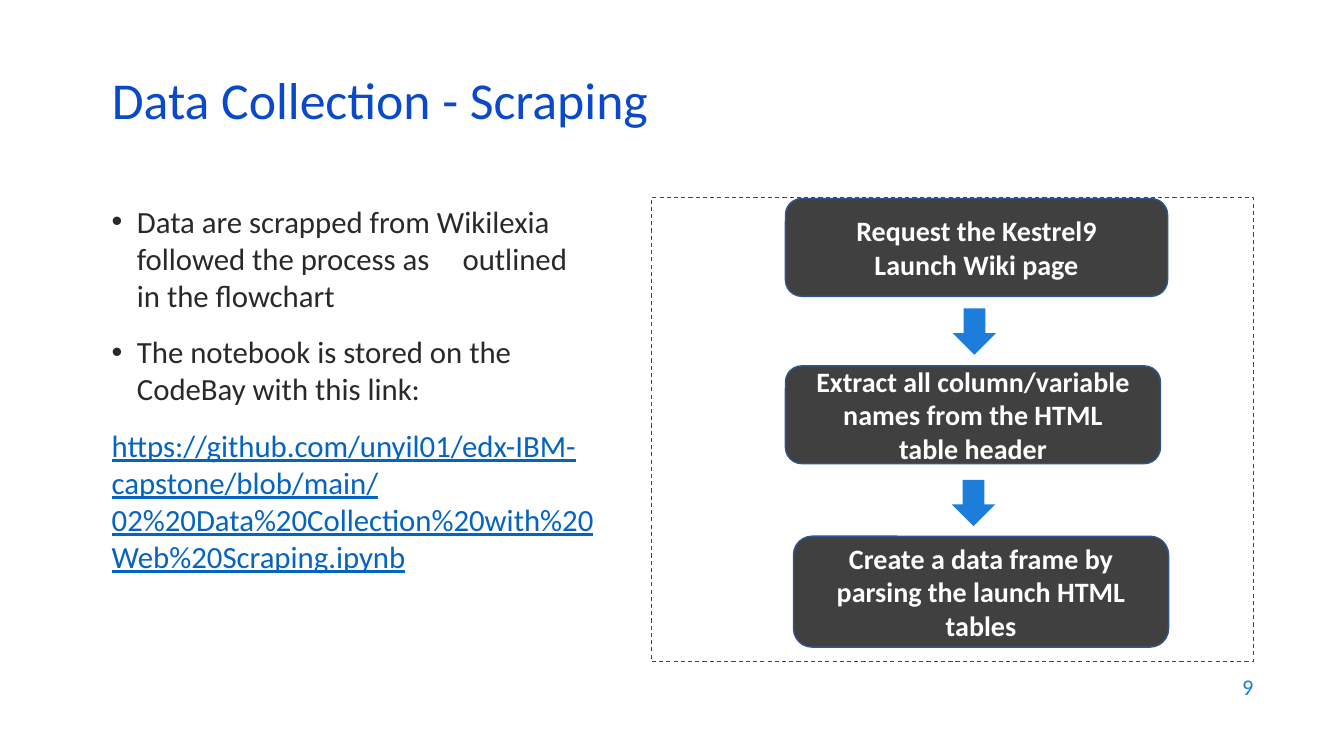
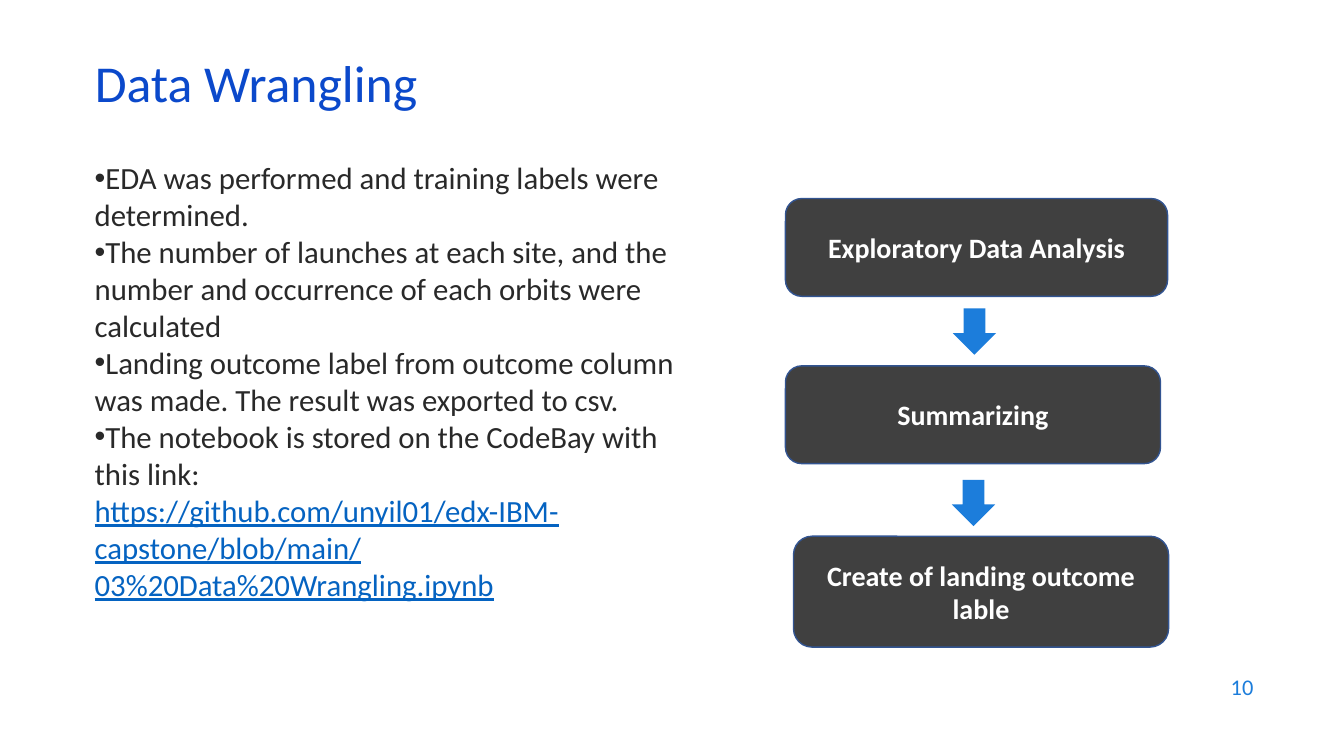
from lxml.etree import SubElement
from pptx import Presentation
from pptx.dml.color import RGBColor
from pptx.enum.dml import MSO_LINE
from pptx.enum.shapes import MSO_SHAPE as SHAPE
from pptx.enum.text import MSO_ANCHOR as ANCHOR, MSO_AUTO_SIZE as AUTO_SIZE, PP_ALIGN as ALIGN
from pptx.oxml.ns import qn
from pptx.util import Pt

PX = 9144  # EMU, 100 px to the inch
COLORS = {name: RGBColor.from_string(value) for name, value in {
    "title": "0B49CB", "body": "292929", "link": "0563C1", "accent": "1C7DDB",
    "step": "404040", "step_line": "325491", "step_text": "FFFFFF",
}.items()}
FONTS = {
    "title": {"size": Pt(37)},
    "body": {"size": Pt(22)},
    "link": {"size": Pt(22), "underline": True},
    "accent": {"size": Pt(16)},
    "step_text": {"size": Pt(20), "bold": True},
}

STEP_BOXES = [(779, 197, 379, 97), (779, 363, 372, 97), (787, 532, 372, 110)]
ARROW_CORNERS = [(945, 306), (944, 476)]
ARROW_SIZE = (43, 46)
NUMBER_BOX = (953, 659, 300, 44)
TITLE_SIZE = (1150, 60)

SLIDES = [
    {
        "number": "9",
        "title": "Data Collection - Scraping",
        "title_corner": (101, 76),
        "body_box": (101, 196, 499, 478),
        "indent": 25,
        "gap": 14,
        "tab": 348,
        "frame": (646, 196, 597, 460),
        "points": [
            "Data are scrapped from Wikilexia followed the process as\toutlined in the flowchart",
            "The notebook is stored on the CodeBay with this link:",
        ],
        "link": "https://github.com/unyil01/edx-IBM-capstone/blob/main/"
                "02%20Data%20Collection%20with%20Web%20Scraping.ipynb",
        "steps": [
            ["Request the Kestrel9", "Launch Wiki page"],
            ["Extract all column/variable", "names from the HTML", "table header"],
            ["Create a data frame by", "parsing the launch HTML", "tables"],
        ],
    },
    {
        "number": "10",
        "title": "Data Wrangling",
        "title_corner": (84, 59),
        "body_box": (84, 153, 601, 550),
        "indent": 0,
        "gap": 0,
        "tab": None,
        "frame": None,
        "points": [
            "EDA was performed and training labels were determined.",
            "The number of launches at each site, and the number and occurrence "
            "of each orbits were calculated",
            "Landing outcome label from outcome column was made. "
            "The result was exported to csv.",
            "The notebook is stored on the CodeBay with this link:",
        ],
        "link": "https://github.com/unyil01/edx-IBM-capstone/blob/main/"
                "03%20Data%20Wrangling.ipynb",
        "steps": [
            ["Exploratory Data Analysis"],
            ["Summarizing"],
            ["Create of landing outcome lable"],
        ],
    },
]


def emu(lengths):
    return [length * PX for length in lengths]


def write(frame, lines, style, align=ALIGN.LEFT):
    """Fill a text frame with one paragraph per line and return the paragraphs."""
    frame.word_wrap = True
    frame.auto_size = AUTO_SIZE.NONE
    frame.text = "\n".join(lines)
    for paragraph in frame.paragraphs:
        paragraph.alignment = align
        for run in paragraph.runs:
            run.font.name = "Calibri"
            run.font.color.rgb = COLORS[style]
            for attribute, value in FONTS[style].items():
                setattr(run.font, attribute, value)
    return frame.paragraphs


prs = Presentation()
prs.slide_width, prs.slide_height = emu((1333, 750))

for content in SLIDES:
    slide = prs.slides.add_slide(prs.slide_layouts[5])
    shapes = slide.shapes

    title = shapes.title
    title.left, title.top, title.width, title.height = emu(content["title_corner"] + TITLE_SIZE)
    title.text_frame.vertical_anchor = ANCHOR.MIDDLE
    write(title.text_frame, [content["title"]], "title")[0].line_spacing = 0.7

    number = shapes.add_textbox(*emu(NUMBER_BOX)).text_frame
    number.vertical_anchor = ANCHOR.MIDDLE
    write(number, [content["number"]], "accent", ALIGN.RIGHT)

    body = shapes.add_textbox(*emu(content["body_box"])).text_frame
    *points, link = write(body, content["points"] + [content["link"]], "body")
    for point in points:
        props = point._p.get_or_add_pPr()
        props.set("marL", str(content["indent"] * PX))
        props.set("indent", str(-content["indent"] * PX))
        SubElement(props, qn("a:buFont"), typeface="Arial")
        SubElement(props, qn("a:buChar"), char="•")
    if content["tab"]:
        tabs = SubElement(points[0]._p.get_or_add_pPr(), qn("a:tabLst"))
        SubElement(tabs, qn("a:tab"), pos=str(content["tab"] * PX), algn="l")
    for paragraph in body.paragraphs[1:]:
        paragraph.space_before = Pt(content["gap"])
    link.runs[0].font.color.rgb = COLORS["link"]
    link.runs[0].font.underline = True

    if content["frame"]:
        flow_frame = shapes.add_shape(SHAPE.RECTANGLE, *emu(content["frame"]))
        flow_frame.shadow.inherit = False
        flow_frame.fill.background()
        flow_frame.line.color.rgb = COLORS["title"]
        flow_frame.line.width = Pt(0.75)
        flow_frame.line.dash_style = MSO_LINE.DASH

    for box, lines in zip(STEP_BOXES, content["steps"]):
        step = shapes.add_shape(SHAPE.ROUNDED_RECTANGLE, *emu(box))
        step.shadow.inherit = False
        step.fill.solid()
        step.fill.fore_color.rgb = COLORS["step"]
        step.line.color.rgb = COLORS["step_line"]
        step.line.width = Pt(1)
        step.text_frame.vertical_anchor = ANCHOR.MIDDLE
        write(step.text_frame, lines, "step_text", ALIGN.CENTER)

    for corner in ARROW_CORNERS:
        arrow = shapes.add_shape(SHAPE.DOWN_ARROW, *emu(corner + ARROW_SIZE))
        arrow.shadow.inherit = False
        arrow.fill.solid()
        arrow.fill.fore_color.rgb = COLORS["accent"]
        arrow.line.fill.background()

prs.save("out.pptx")
